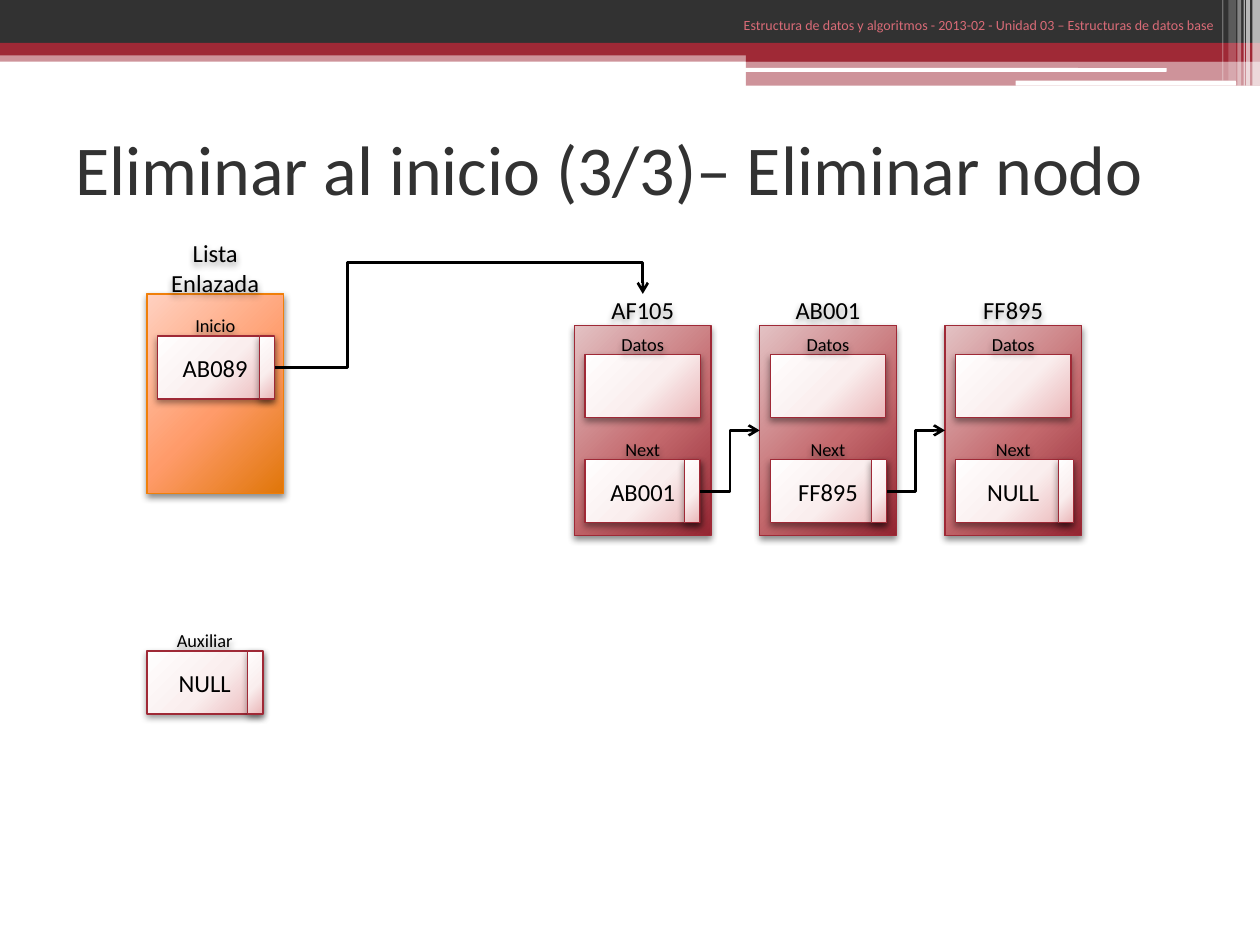
from lxml import etree
from pptx import Presentation
from pptx import util as u
from pptx.dml.color import RGBColor
from pptx.enum import shapes, text
from pptx.oxml import parse_xml
from pptx.oxml.ns import qn, nsdecls

deck = Presentation()
deck.slide_width, deck.slide_height = u.Inches(10), u.Inches(7.5)
page = deck.slides.add_slide(deck.slide_layouts[6])
CELL = u.Inches(1) / 12
RED, WHITE, DARK, BLACK = "9F2936", "FFFFFF", "323232", "000000"
PALE = ["FFFEFE", "FAEEEE", "EAB6B8"]
WINE = ["E3C2C4", "C46A6E", "942632"]
GOLD = ["FFD1C1", "FF9B6A", "E07608"]


def shade(shape, alpha, blur=4):
    shape.shadow.inherit = False
    glow = parse_xml(
        f'<a:outerShdw {nsdecls("a")} blurRad="{u.Pt(blur)}" dist="{u.Pt(2)}" dir="5400000" '
        f'algn="ctr" rotWithShape="0"><a:srgbClr val="{BLACK}"><a:alpha val="{alpha * 1000}"/>'
        '</a:srgbClr></a:outerShdw>')
    shape._element.spPr.find(qn("a:effectLst")).append(glow)


def box(x, y, w, h, words="", home=page, unit=CELL, fill=None, alpha=100, edge=None,
        shadow=0, size=14, color=BLACK, align="CENTER", anchor="MIDDLE", kind="RECTANGLE"):
    at = [round(n * unit) for n in (x, y, w, h)]
    if fill:
        shape = home.shapes.add_shape(shapes.MSO_SHAPE[kind], *at)
    else:
        shape = home.shapes.add_textbox(*at)
    shape.shadow.inherit = False
    if isinstance(fill, list):
        stops = "".join(f'<a:gs pos="{p}"><a:srgbClr val="{c}"/></a:gs>'
                        for p, c in zip((0, 55000, 100000), fill))
        shape._element.spPr.insert(2, parse_xml(
            f'<a:gradFill {nsdecls("a")} rotWithShape="1"><a:gsLst>{stops}</a:gsLst>'
            '<a:path path="circle"><a:fillToRect l="-40000" t="-90000" r="140000" b="190000"/>'
            '</a:path></a:gradFill>'))
    elif fill:
        shape.fill.solid()
        shape.fill.fore_color.rgb = RGBColor.from_string(fill)
        tint = shape._element.spPr.find(".//" + qn("a:srgbClr"))
        etree.SubElement(tint, qn("a:alpha")).set("val", str(alpha * 1000))
    if edge:
        shape.line.color.rgb = RGBColor.from_string(edge)
        shape.line.width = u.Pt(0.75)
    else:
        shape.line.fill.background()
    if shadow:
        shade(shape, shadow)
    if words:
        frame = shape.text_frame
        frame.word_wrap = True
        frame.vertical_anchor = text.MSO_ANCHOR[anchor]
        para = frame.paragraphs[0]
        para.alignment = text.PP_ALIGN[align]
        run = para.add_run()
        run.text = words
        run.font.size, run.font.name = u.Pt(size), "Calibri"
        run.font.color.rgb = RGBColor.from_string(color)
    return shape


inch = u.Inches(1)
for x, y, w, h, fill, alpha in [
        (0, 0.4, 10, 0.09, RED, 50), (0, 0, 10, 0.34, DARK, 100), (0, 0.34, 10, 0.1, RED, 100),
        (5.92, 0.39, 4.08, 0.1, RED, 100), (5.92, 0.48, 4.08, 0.2, RED, 50)]:
    box(x, y, w, h, unit=inch, fill=fill, alpha=alpha)
for x, y, w, h in [(5.91, 0.54, 3.35, 0.03), (8.06, 0.64, 1.75, 0.04)]:
    box(x, y, w, h, unit=inch, fill=WHITE, kind="ROUNDED_RECTANGLE")
for x, w, h, alpha in [(9.94, 0.06, 0.68, 65), (9.89, 0.03, 0.68, 65), (9.87, 0.01, 0.68, 60),
                       (9.82, 0.03, 0.68, 40), (9.75, 0.06, 0.64, 20), (9.7, 0.01, 0.64, 30)]:
    box(x, 0, w, h, unit=inch, fill=WHITE, alpha=alpha)
box(6, 9, 108, 14, "Eliminar al inicio (3/3)– Eliminar nodo", size=40, color=DARK, align="LEFT")

pale = dict(fill=PALE, edge=RED, shadow=40)
note = dict(size=10.5, shadow=40)

head = page.shapes.add_group_shape()
box(14, 28, 13, 19, home=head, fill=GOLD, edge="F07F09", shadow=45)
box(15, 30, 11, 2, "Inicio", home=head, **note)
box(15, 32, 11, 6, "AB089", home=head, **pale)
box(14, 23, 13, 5, "Lista Enlazada", home=head, shadow=40)

first, step = 54.72, 17.64
names = ["AF105", "AB001", "FF895", "NULL"]
for i, (name, link) in enumerate(zip(names, names[1:])):
    x = first + i * step
    node = page.shapes.add_group_shape()
    box(x, 28, 13, 3, name, home=node, shadow=40)
    box(x, 31, 13, 20, home=node, fill=WINE, edge=RED, shadow=45)
    box(x + 1, 33.8, 11, 6, home=node, **pale)
    box(x + 1, 41.8, 11, 2, "Next", home=node, **note)
    box(x + 1, 31.8, 11, 2, "Datos", home=node, **note)
    box(x + 1, 43.8, 11, 6, link, home=node, **pale)

hops = [(first + 12 + i * step, 46.8, first + (i + 1) * step, 41) for i in range(2)]
for ends, bends in [((26, 35, first + 6.5, 28), (20100, 142900))] + [(h, (50000,)) for h in hops]:
    arrow = page.shapes.add_connector(shapes.MSO_CONNECTOR.ELBOW, *[round(n * CELL) for n in ends])
    arrow.line.color.rgb = RGBColor.from_string(BLACK)
    arrow.line.width = u.Pt(1.5)
    etree.SubElement(arrow.line._get_or_add_ln(), qn("a:tailEnd")).set("type", "arrow")
    geom = arrow._element.spPr.find(qn("a:prstGeom"))
    geom.set("prst", f"bentConnector{len(bends) + 2}")
    for i, bend in enumerate(bends, 1):
        guide = etree.SubElement(geom.find(qn("a:avLst")), qn("a:gd"))
        guide.set("name", f"adj{i}")
        guide.set("fmla", f"val {bend}")
    etree.SubElement(arrow._element.spPr, qn("a:effectLst"))

box(14, 60, 11, 2, "Auxiliar", **note)
box(14, 62, 11, 6, "NULL", **pale)
for x, y in [(65.2, 43.8), (83, 43.8), (100.8, 43.8), (24.7, 32), (23.6, 62)]:
    box(x, y, 1.45, 6, **pale)
box(4.67, 0.08, 5.07, 0.25,
    "Estructura de datos y algoritmos - 2013-02 - Unidad 03 – Estructuras de datos base",
    unit=inch, size=8, color="D96B77", align="RIGHT", anchor="TOP")

deck.save("out.pptx")
